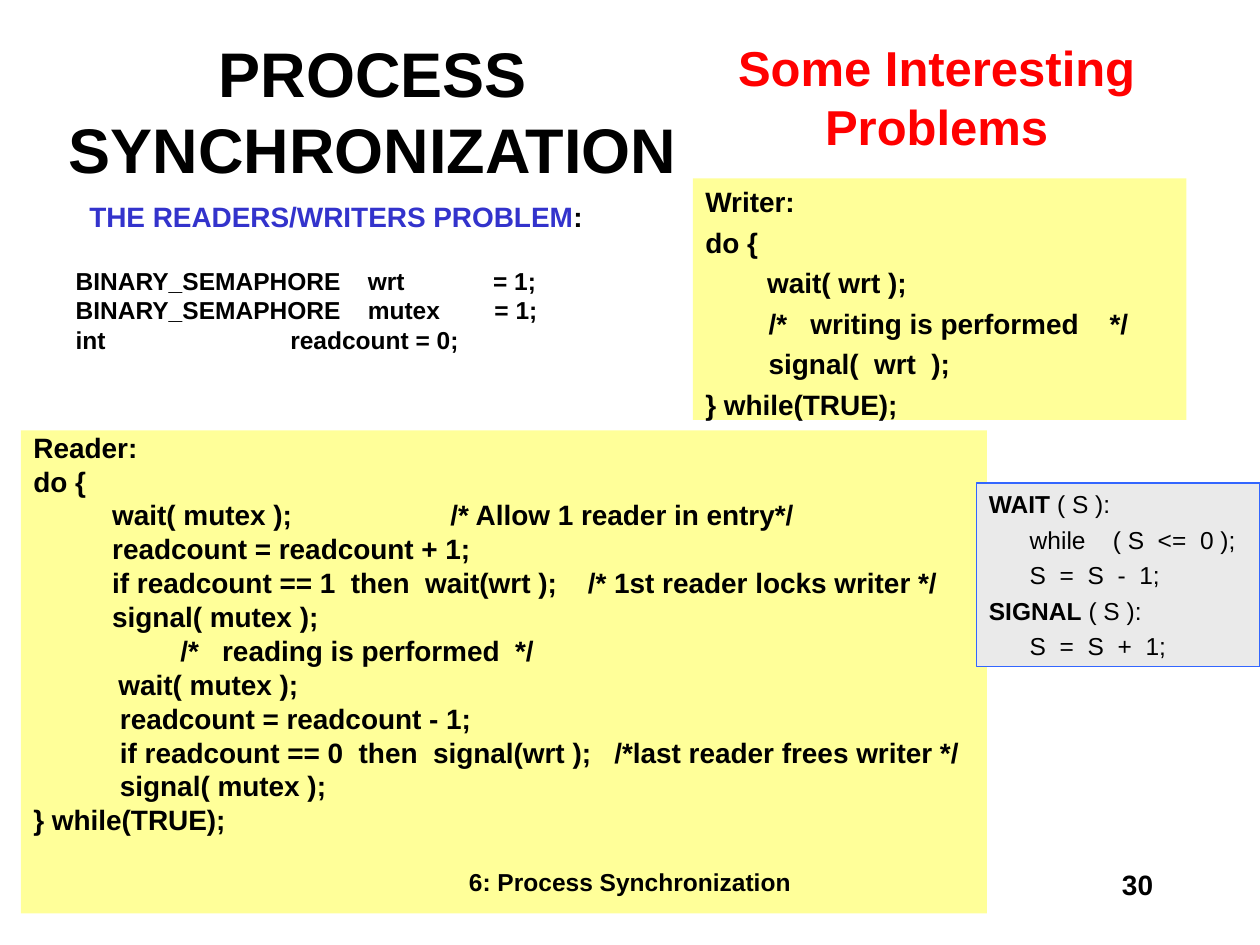
from lxml.etree import SubElement
from pptx import Presentation
from pptx.dml.color import RGBColor
from pptx.enum.shapes import MSO_SHAPE
from pptx.enum.text import MSO_ANCHOR, MSO_AUTO_SIZE, PP_ALIGN
from pptx.oxml.ns import qn
from pptx.util import Inches, Pt

CELL = Inches(1) // 12  # the grid has 120 columns and 90 rows

BLACK = RGBColor(0x00, 0x00, 0x00)
RED = RGBColor(0xFF, 0x00, 0x00)
INDIGO = RGBColor(0x33, 0x33, 0xCC)
BLUE = RGBColor(0x33, 0x66, 0xFF)
YELLOW = RGBColor(0xFF, 0xFF, 0x99)
GREY = RGBColor(0xEA, 0xEA, 0xEA)

FRAME = {
    "word_wrap": True, "auto_size": MSO_AUTO_SIZE.NONE,
    "vertical_anchor": MSO_ANCHOR.TOP,
    "margin_left": Inches(0.1), "margin_right": Inches(0.1),
    "margin_top": Inches(0.05), "margin_bottom": Inches(0.05),
}
CENTRED = {"alignment": PP_ALIGN.CENTER}
RIGHT = {"alignment": PP_ALIGN.RIGHT}
LISTING = {"alignment": PP_ALIGN.JUSTIFY, "space_before": Pt(4)}
TIGHT = LISTING | {"line_spacing": 0.8}
DECLARATION = TIGHT | {"space_before": Pt(3.5)}
DEFINITION = {"alignment": PP_ALIGN.LEFT, "space_before": Pt(3.5)}

READER = [
    "Reader:",
    "do {",
    "\t    wait( mutex );\t\t       /* Allow 1 reader in entry*/",
    "\t    readcount = readcount + 1;",
    "\t    if readcount == 1  then  wait(wrt );    /* 1st reader locks writer */",
    "\t    signal( mutex );",
    "                   /*   reading is performed  */",
    "           wait( mutex );",
    "\t     readcount = readcount - 1;",
    "\t     if readcount == 0  then  signal(wrt );   /*last reader frees writer */",
    "\t     signal( mutex );",
    "} while(TRUE);",
]
WRITER = [
    "Writer:",
    "do {",
    "        wait( wrt );",
    "\t  /*   writing is performed    */",
    "\t  signal(  wrt  );",
    "} while(TRUE);",
]
DECLARATIONS = [
    "BINARY_SEMAPHORE    wrt             = 1;",
    "BINARY_SEMAPHORE    mutex        = 1;",
    "int\t\t\t      readcount = 0;",
]
DEFINITIONS = [
    ("WAIT", " ( S ):"),
    ("", "      while    ( S  <=  0 );"),
    ("", "      S  =  S  -  1;"),
    ("SIGNAL", " ( S ):"),
    ("", "      S  =  S  +  1;"),
]


def apply(target, values):
    for name, value in values.items():
        setattr(target, name, value)


def place(shape, box):
    """Put a shape on the grid; box is column, row, columns, rows."""
    names = ("left", "top", "width", "height")
    apply(shape, {name: round(cells * CELL) for name, cells in zip(names, box)})


def add_run(paragraph, text, size, color=BLACK, bold=True):
    run = paragraph.add_run()
    run.text = text
    apply(run.font, {"name": "Arial", "size": Pt(size), "bold": bold})
    run.font.color.rgb = color


def add_paragraph(text_frame, values, hanging=False):
    """Start a paragraph with inch tabs, without a bullet."""
    first = text_frame.paragraphs[0]
    paragraph = text_frame.add_paragraph() if first.runs else first
    properties = paragraph._p.get_or_add_pPr()
    indent = Inches(0.38) if hanging else 0
    properties.set("marL", str(indent))
    properties.set("indent", str(-indent))
    SubElement(properties, qn("a:buNone"))
    tabs = SubElement(properties, qn("a:tabLst"))
    for inch in range(8):
        SubElement(tabs, qn("a:tab"), pos=str(Inches(inch)), algn="l")
    apply(paragraph, values)
    if paragraph._p is first._p:
        paragraph.space_before = Pt(0)
    return paragraph


def add_panel(slide, box, fill):
    panel = slide.shapes.add_shape(MSO_SHAPE.RECTANGLE, 0, 0, CELL, CELL)
    place(panel, box)
    panel.shadow.inherit = False
    panel.fill.solid()
    panel.fill.fore_color.rgb = fill
    panel.line.fill.background()
    apply(panel.text_frame, FRAME)
    return panel


def add_title(slide, box):
    title = slide.shapes.title
    place(title, box)
    apply(title.text_frame, FRAME | {"vertical_anchor": MSO_ANCHOR.MIDDLE})
    add_run(add_paragraph(title.text_frame, CENTRED), "PROCESS SYNCHRONIZATION", 36)


def add_declarations(slide, box):
    body = slide.placeholders[1]
    place(body, box)
    apply(body.text_frame, FRAME)
    heading = add_paragraph(body.text_frame, TIGHT | CENTRED, hanging=True)
    add_run(heading, "THE READERS/WRITERS PROBLEM", 16, INDIGO)
    add_run(heading, ":", 16)
    for number, line in enumerate(DECLARATIONS):
        paragraph = add_paragraph(body.text_frame, DECLARATION, hanging=True)
        if number == 0:
            paragraph.space_before = Pt(22)
        add_run(paragraph, line, 14)


def add_listing(slide, box, lines, values):
    panel = add_panel(slide, box, YELLOW)
    for line in lines:
        add_run(add_paragraph(panel.text_frame, values, hanging=True), line, 16)


def add_definitions(slide, box):
    panel = add_panel(slide, box, GREY)
    panel.line.color.rgb = BLUE
    panel.line.width = Pt(0.75)
    panel.text_frame.auto_size = MSO_AUTO_SIZE.SHAPE_TO_FIT_TEXT
    for keyword, rest in DEFINITIONS:
        paragraph = add_paragraph(panel.text_frame, DEFINITION)
        if keyword:
            add_run(paragraph, keyword, 14)
        add_run(paragraph, rest, 14, bold=False)


def add_label(slide, box, lines, size, values, color=BLACK, frame=FRAME):
    label = slide.shapes.add_textbox(0, 0, CELL, CELL)
    place(label, box)
    apply(label.text_frame, frame)
    for line in lines:
        add_run(add_paragraph(label.text_frame, values), line, size, color)


def main():
    presentation = Presentation()
    apply(presentation, {"slide_width": 120 * CELL, "slide_height": 90 * CELL})
    slide = presentation.slides.add_slide(presentation.slide_layouts[1])
    add_title(slide, (4, 3, 63, 15))
    add_declarations(slide, (6, 19, 52, 17))
    add_listing(slide, (2, 41, 92, 46), READER, TIGHT)
    add_listing(slide, (66, 17, 47, 23), WRITER, LISTING)
    fitted = {"word_wrap": False, "auto_size": MSO_AUTO_SIZE.SHAPE_TO_FIT_TEXT}
    add_label(slide, (69.1, 3, 40.2, 12.5), ["Some Interesting", "Problems"], 28,
              CENTRED, RED, FRAME | fitted)
    add_definitions(slide, (93, 46, 27, 17.5))
    add_label(slide, (41, 82, 38, 6), ["6: Process Synchronization"], 14, CENTRED)
    add_label(slide, (86, 82, 25, 6), ["30"], 16, RIGHT)
    presentation.save("out.pptx")


if __name__ == "__main__":
    main()
